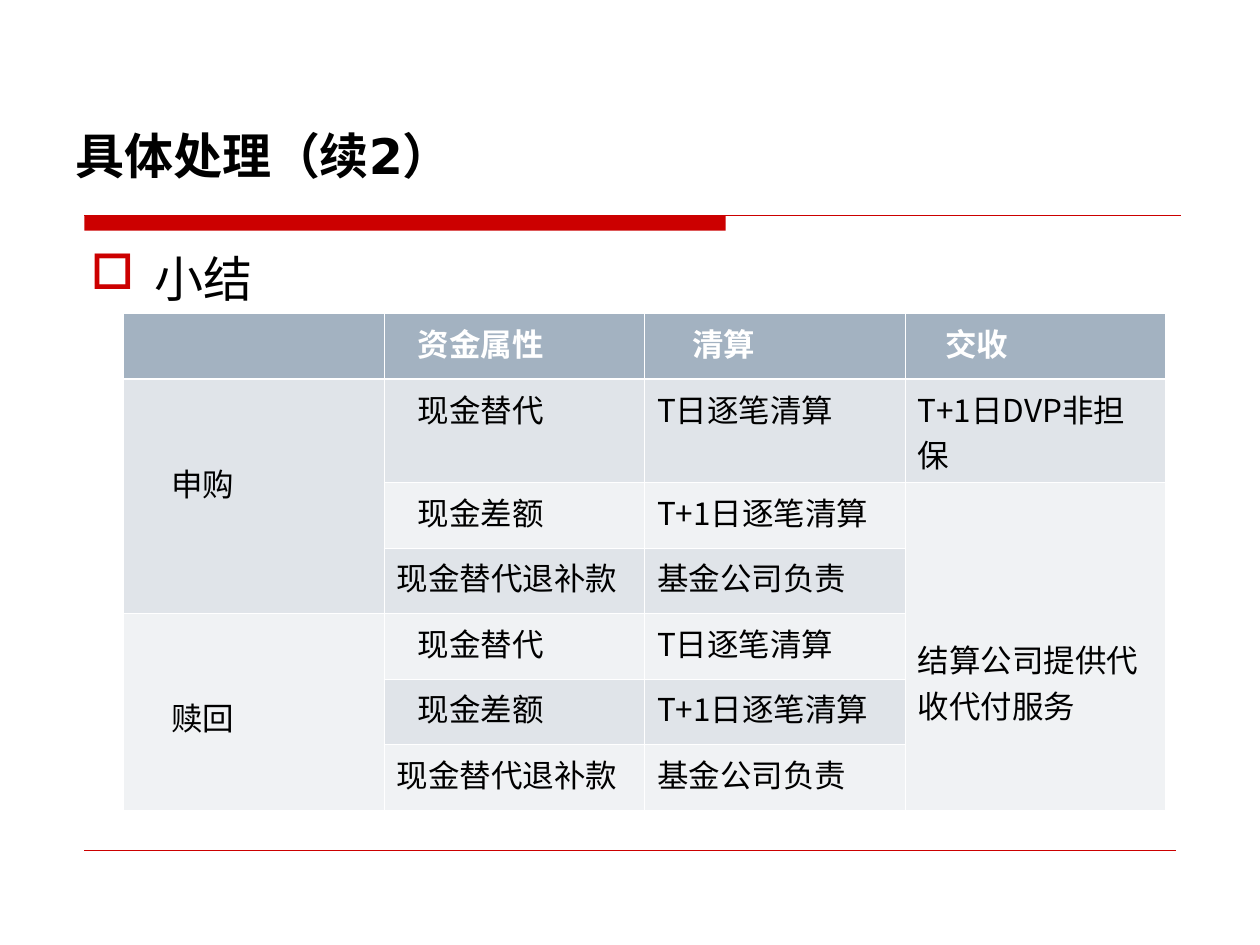
from dataclasses import dataclass

from lxml import etree
from pptx import Presentation
from pptx.dml.color import RGBColor
from pptx.enum.shapes import MSO_CONNECTOR, MSO_SHAPE
from pptx.enum.text import MSO_ANCHOR
from pptx.oxml.ns import qn
from pptx.util import Inches, Pt

STRAIGHT = MSO_CONNECTOR.STRAIGHT
RECTANGLE = MSO_SHAPE.RECTANGLE
MIDDLE = MSO_ANCHOR.MIDDLE

COLORS = {"red": "CC0000", "black": "000000", "white": "FFFFFF",
          "header": "A3B2C1", "band_dark": "E0E4E9", "band_light": "F0F2F4"}
CJK_FONT = "Noto Sans CJK SC"
TITLE_FONT = "DejaVu Sans"
COL_WIDTH = 8.27 / 4
ROW_HEIGHTS = [0.52, 0.82] + [0.52] * 5
THIN, THICK = 0.45, 1.47


@dataclass
class Rule:
    x1: float
    x2: float
    y: float
    weight: float


@dataclass
class Entry:
    row: int
    col: int
    text: str
    indent: float = 0
    drop: float = 0
    rows: int = 1


RULES = [Rule(0.67, 9.37, 1.71, 0.75), Rule(0.67, 9.33, 6.75, 0.25)]

HEADERS = [Entry(0, 1, "资金属性", 0.17), Entry(0, 2, "清算", 0.28),
           Entry(0, 3, "交收", 0.22)]
GROUPS = [Entry(1, 0, "申购", 0.28, 0.59, 3), Entry(4, 0, "赎回", 0.28, 0.59, 3)]
SETTLEMENT = [Entry(1, 3, "T+1日DVP非担保"),
              Entry(2, 3, "结算公司提供代收代付服务", drop=1.17, rows=5)]
# Both groups hold the same three kinds of funds
FUNDS = [("现金替代", 0.17, "T日逐笔清算"),
         ("现金差额", 0.17, "T+1日逐笔清算"),
         ("现金替代退补款", 0, "基金公司负责")]


def rgb(name: str) -> RGBColor:
    return RGBColor.from_string(COLORS[name])


def style_run(r, size: float, color: str, font: str = CJK_FONT, bold: bool = False) -> None:
    r.font.size = Pt(size)
    r.font.bold = bold
    r.font.name = font
    r.font.color.rgb = rgb(color)
    ea = etree.SubElement(r.font._element, qn("a:ea"))
    ea.set("typeface", CJK_FONT)


def add_rule(s, rule: Rule) -> None:
    line = s.shapes.add_connector(STRAIGHT, Inches(rule.x1), Inches(rule.y),
                                  Inches(rule.x2), Inches(rule.y))
    line.line.color.rgb = rgb("red")
    line.line.width = Pt(rule.weight)
    etree.SubElement(line._element.spPr, qn("a:effectLst"))


def add_text(s, left: float, top: float, width: float, height: float, text: str):
    sp = s.shapes.add_textbox(Inches(left), Inches(top), Inches(width), Inches(height))
    sp.text_frame.word_wrap = True
    sp.text_frame.text = text
    return sp.text_frame


def add_bullet(p, char: str, indent: float) -> None:
    pPr = p._p.get_or_add_pPr()
    pPr.set("marL", str(Inches(indent)))
    pPr.set("indent", str(-Inches(indent)))
    color = etree.SubElement(pPr, qn("a:buClr"))
    etree.SubElement(color, qn("a:srgbClr")).set("val", COLORS["red"])
    etree.SubElement(pPr, qn("a:buChar")).set("char", char)


def set_borders(cell, row: int) -> None:
    tcPr = cell._tc.get_or_add_tcPr()
    top = THICK if row == 1 else THIN
    bottom = THICK if row == 0 else THIN
    for side, weight in (("L", THIN), ("R", THIN), ("T", top), ("B", bottom)):
        ln = etree.SubElement(tcPr, qn(f"a:ln{side}"))
        ln.set("w", str(Pt(weight)))
        fill = etree.SubElement(ln, qn("a:solidFill"))
        etree.SubElement(fill, qn("a:srgbClr")).set("val", COLORS["white"])


def fill_entry(table, e: Entry) -> None:
    cell = table.cell(e.row, e.col)
    if e.rows > 1:
        cell.merge(table.cell(e.row + e.rows - 1, e.col))
    cell.margin_left = Inches(0.1 + e.indent)
    cell.margin_top = Inches(0.05 + e.drop)
    cell.text_frame.text = e.text
    header = e.row == 0
    style_run(cell.text_frame.paragraphs[0].runs[0], 18,
              "white" if header else "black", bold=header)


def add_summary_table(s) -> None:
    frame = s.shapes.add_table(len(ROW_HEIGHTS), 4, Inches(0.98), Inches(2.49),
                               Inches(4 * COL_WIDTH), Inches(sum(ROW_HEIGHTS)))
    table = frame.table
    table.horz_banding = False
    for col in table.columns:
        col.width = Inches(COL_WIDTH)
    for i, height in enumerate(ROW_HEIGHTS):
        table.rows[i].height = Inches(height)
        band = "header" if i == 0 else "band_dark" if i % 2 else "band_light"
        for cell in table.rows[i].cells:
            set_borders(cell, i)
            cell.fill.solid()
            cell.fill.fore_color.rgb = rgb(band)

    entries = HEADERS + GROUPS + SETTLEMENT
    for group in GROUPS:
        for i, (fund, indent, clearing) in enumerate(FUNDS, group.row):
            entries += [Entry(i, 1, fund, indent), Entry(i, 2, clearing)]
    for e in entries:
        fill_entry(table, e)


def main() -> None:
    prs = Presentation()
    prs.slide_width, prs.slide_height = Inches(10), Inches(7.5)
    s = prs.slides.add_slide(prs.slide_layouts[6])

    # Red bar and rules
    bar = s.shapes.add_shape(RECTANGLE, Inches(0.67), Inches(1.71), Inches(5.09), Inches(0.12))
    bar.shadow.inherit = False
    bar.fill.solid()
    bar.fill.fore_color.rgb = rgb("red")
    bar.line.fill.background()
    for rule in RULES:
        add_rule(s, rule)

    # Title
    tf = add_text(s, 0.5, 0.91, 9, 0.64, "具体处理（续2）")
    tf.vertical_anchor = MIDDLE
    style_run(tf.paragraphs[0].runs[0], 28, "black", TITLE_FONT, True)

    # Bulleted heading
    tf = add_text(s, 0.62, 1.92, 8.75, 4.67, "小结")
    p = tf.paragraphs[0]
    add_bullet(p, "□", 0.51)
    style_run(p.runs[0], 28, "black")

    # Summary table
    add_summary_table(s)
    prs.save("out.pptx")


if __name__ == "__main__":
    main()
